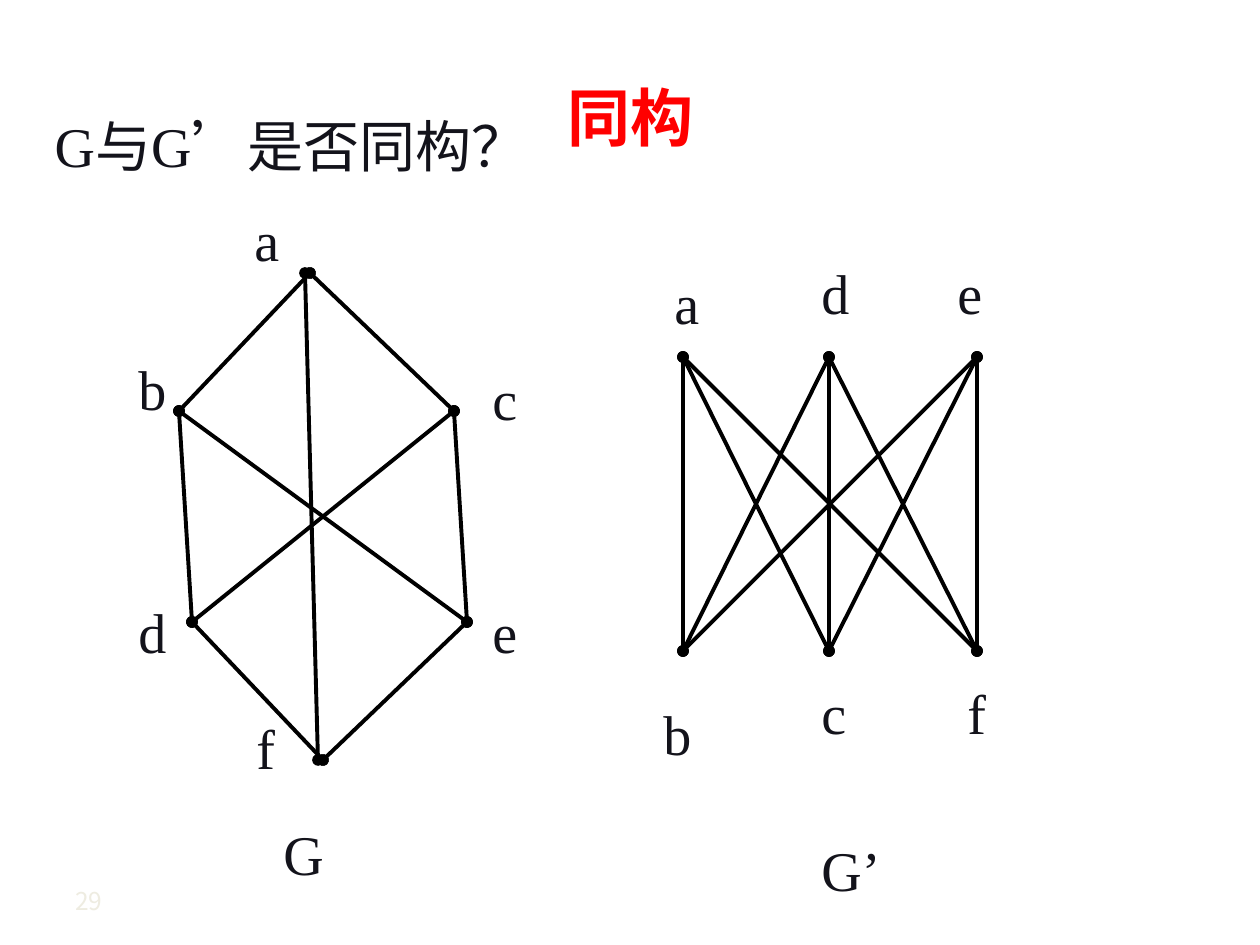
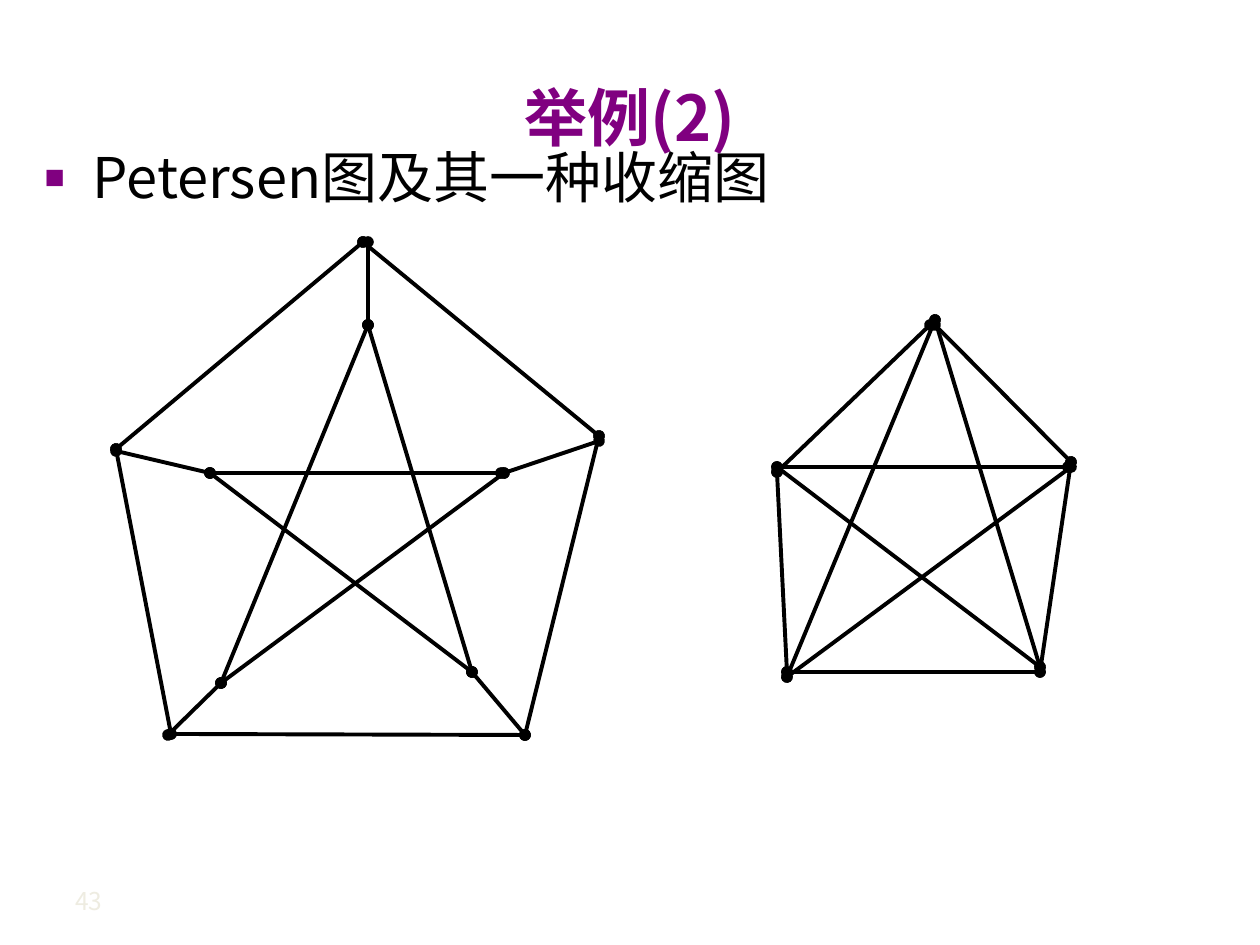
import itertools

import pptx
import pptx.dml.color
import pptx.enum.shapes
import pptx.enum.text
import pptx.util
from lxml import etree
from pptx.oxml.ns import qn

RGB = pptx.dml.color.RGBColor
RED, PURPLE = RGB(0xFF, 0, 0), RGB(0x80, 0, 0x80)
BLACK, INK, PALE = RGB(0, 0, 0), RGB(0x13, 0x13, 0x1B), RGB(0xEE, 0xEC, 0xE1)
SANS, SERIF = "Noto Sans CJK SC", "Times New Roman"
ALIGN = pptx.enum.text.PP_ALIGN
ANCHOR = pptx.enum.text.MSO_ANCHOR
SCALE = 914400 / 126  # EMU in one px

# A capital letter is a second dot of the same vertex, slightly shifted.
PRISM = (
    dict(a=(310, 273), A=(305, 273), b=(179, 411), c=(454, 411),
         d=(192, 622), e=(467, 622), f=(323, 760), F=(318, 760)),
    "ac ba dc be bd ce AF df fe".split(),
)
COLS, ROWS = (683, 829, 977), (357, 651)
BIPART = (
    {name: (x, y) for names, y in zip(("ade", "bcf"), ROWS)
     for name, x in zip(names, COLS)},
    list(itertools.product("ade", "bcf")),
)
# Outer ring a-e and inner star p-t, both clockwise from the top.
PETERSEN = (
    dict(a=(363, 242), A=(368, 242), b=(599, 436), B=(599, 441),
         c=(525, 735), d=(171, 734), D=(168, 735), e=(116, 449), E=(116, 451),
         p=(368, 325), q=(504, 473), Q=(501, 473), r=(472, 672),
         s=(221, 683), t=(210, 473)),
    "ab ea ed bc dc pr tQ ps sq tr tE pA Bq cr sD".split(),
)
SHRUNK = (
    dict(a=(935, 320), A=(935, 325), x=(930, 325), b=(1071, 462),
         B=(1071, 467), y=(1068, 467), c=(1040, 672), C=(1040, 667),
         d=(787, 672), D=(787, 677), e=(777, 472), E=(777, 467)),
    "aC Ab ex ed bc dc Ey aD DB EC".split(),
)

LABELS = [  # text, left, top, width
    ("G", 271, 813, 145), ("G’", 809, 829, 145),
    ("a", 242, 199, 53), ("b", 126, 348, 66), ("c", 480, 358, 66),
    ("d", 126, 591, 66), ("e", 480, 591, 66), ("f", 244, 707, 66),
    ("a", 662, 262, 53), ("d", 809, 252, 66), ("e", 945, 252, 66),
    ("b", 651, 693, 66), ("c", 809, 672, 66), ("f", 955, 672, 66),
]
SLIDES = [
    dict(title="同构", hue=RED, number="29", graphs=[PRISM, BIPART],
         labels=LABELS, body=["G", "与", "G", "’是否同构？"],
         box=(42, 116, 530, 81), face=SERIF, ink=INK, before=2, bullet=False),
    dict(title="举例(2)", hue=PURPLE, number="43", graphs=[SHRUNK, PETERSEN],
         labels=[], body=["Petersen", "图及其一种收缩图"],
         box=(32, 147, 1176, 79), face=SANS, ink=BLACK, before=0, bullet=True),
]


def px(n):
    return round(n * SCALE)


def place(shape, box):
    shape.left, shape.top, shape.width, shape.height = map(px, box)


def add_run(para, text, size, hue, face, bold=False):
    run = para.add_run()
    run.text = text
    font = run.font
    font.size, font.bold, font.name = pptx.util.Pt(size), bold, face
    font.color.rgb = hue
    etree.SubElement(run._r.get_or_add_rPr(), qn("a:ea"), typeface=SANS)


def add_label(slide, text, box, size=32, hue=INK, face=SERIF, before=4):
    shape = slide.shapes.add_textbox(*map(px, box))
    shape.text_frame.word_wrap = True
    para = shape.text_frame.paragraphs[0]
    para.space_before = pptx.util.Pt(before)
    add_run(para, text, size, hue, face)


def add_graph(slide, graph):
    """Draw every edge as a line with a round dot at both ends."""
    dots, edges = graph
    group = slide.shapes.add_group_shape()
    kind = pptx.enum.shapes.MSO_CONNECTOR.STRAIGHT
    for start, end in edges:
        ends = map(px, dots[start] + dots[end])
        edge = group.shapes.add_connector(kind, *ends)
        edge.line.color.rgb = BLACK
        edge.line.width = pptx.util.Pt(2.25)
        props = edge._element.spPr
        for tag in ("a:headEnd", "a:tailEnd"):
            etree.SubElement(props.find(qn("a:ln")), qn(tag), type="oval")
        etree.SubElement(props, qn("a:effectLst"))


def set_bullet(para, shown):
    props = para._p.get_or_add_pPr()
    indent = px(48) if shown else 0
    props.set("marL", str(indent))
    props.set("indent", str(-indent))
    if not shown:
        etree.SubElement(props, qn("a:buNone"))
        return
    tint = etree.SubElement(props, qn("a:buClr"))
    etree.SubElement(tint, qn("a:srgbClr"), val=str(PURPLE))
    etree.SubElement(props, qn("a:buSzPct"), val="60000")
    etree.SubElement(props, qn("a:buChar"), char="■")


def add_title(slide, text, hue):
    title = slide.shapes.title
    place(title, (63, 38, 1134, 157))
    title.text_frame.vertical_anchor = ANCHOR.MIDDLE
    para = title.text_frame.paragraphs[0]
    para.alignment = ALIGN.CENTER
    add_run(para, text, 36, hue, SANS, True)


def add_body(slide, item):
    body = slide.placeholders[1]
    place(body, item["box"])
    frame = body.text_frame
    frame.word_wrap = True
    frame.auto_size = pptx.enum.text.MSO_AUTO_SIZE.NONE
    para = frame.paragraphs[0]
    para.alignment = ALIGN.LEFT
    para.line_spacing = 0.85
    para.space_before = pptx.util.Pt(item["before"])
    set_bullet(para, item["bullet"])
    for text in item["body"]:
        add_run(para, text, 32, item["ink"], item["face"])


def main():
    deck = pptx.Presentation()
    deck.slide_width, deck.slide_height = px(1260), px(945)
    for item in SLIDES:
        slide = deck.slides.add_slide(deck.slide_layouts[1])
        add_title(slide, item["title"], item["hue"])
        add_body(slide, item)
        for graph in item["graphs"]:
            add_graph(slide, graph)
        for text, left, top, width in item["labels"]:
            add_label(slide, text, (left, top, width, 80))
        add_label(slide, item["number"], (63, 880, 265, 44), 14, PALE, SANS, 0)
    deck.save("out.pptx")


if __name__ == "__main__":
    main()
